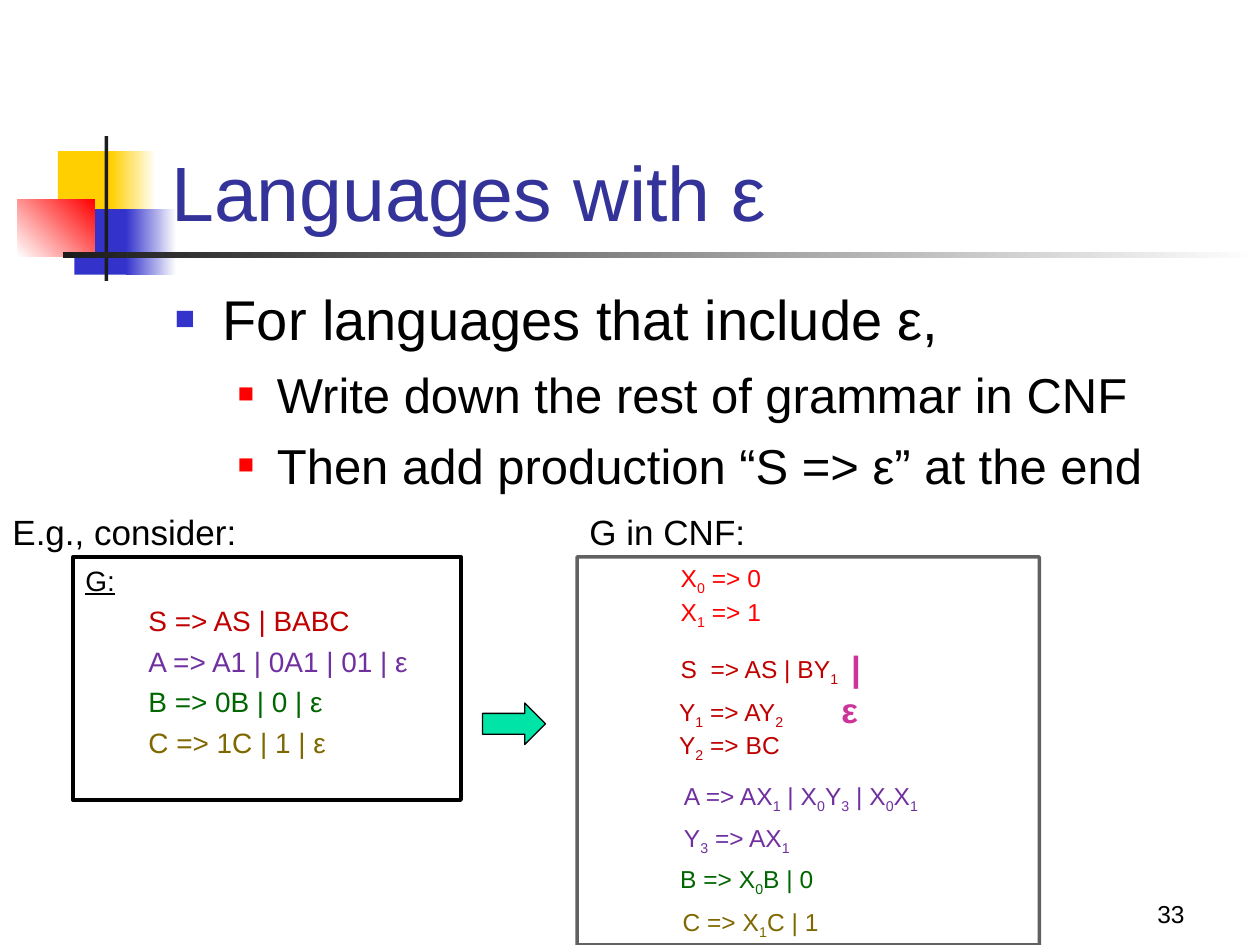
from dataclasses import dataclass
from typing import Optional

from lxml.etree import SubElement
from pptx import Presentation
from pptx.dml.color import RGBColor
from pptx.enum.shapes import MSO_SHAPE as Shape
from pptx.enum.text import MSO_ANCHOR as Anchor, MSO_AUTO_SIZE as AutoSize, PP_ALIGN as Align
from pptx.oxml.ns import qn
from pptx.util import Inches, Pt

COLORS = {
    "black": "000000", "white": "FFFFFF", "ink": "1C1C1C", "title": "333399",
    "yellow": "FFCF01", "blue": "3333CC", "red": "FF0000", "arrow": "00E4A8",
    "start": "C00000", "purple": "7030A0", "green": "006600", "olive": "806800",
    "epsilon": "CC3499",
}
FONT = "Arial"
SPACING = 0.25  # space before a paragraph, as a share of its text size


@dataclass
class Block:
    """A filled rectangle, fading to a second colour when one is given."""
    left: float
    top: float
    width: float
    height: float
    color: str
    fade: Optional[str] = None
    angle: float = 0


@dataclass
class Label:
    """A free text box holding one or more lines."""
    left: float
    top: float
    width: float
    height: float
    lines: list
    color: str = "black"
    size: float = 14
    bold: bool = False
    wrap: bool = False


DECORATION = [
    Block(0.46, 1.2, 0.48, 0.52, "yellow"),
    Block(0.88, 1.2, 0.36, 0.52, "yellow", "white"),
    Block(0.59, 1.66, 0.46, 0.52, "blue"),
    Block(1, 1.66, 0.4, 0.52, "blue", "white"),
    Block(0.14, 1.58, 0.61, 0.46, "white", "red", 45),
    Block(0.83, 1.08, 0.03, 1.15, "ink"),
    Block(0.5, 2, 9.5, 0.05, "ink", "white"),
]

# An underscore sets the next character as a subscript
LABELS = [
    Label(4.58, 4, 1.45, 0.44, ["G in CNF:"], size=20),
    Label(0, 4, 1.99, 0.44, ["E.g., consider:"], size=20),
    Label(5.25, 4.42, 0.91, 0.57, [" X_0 => 0", " X_1 => 1"], "red"),
    Label(5.25, 5.14, 1.53, 0.34, [" S  => AS | BY_1"], "start"),
    Label(5.24, 5.48, 1.11, 0.57, [" Y_1 => AY_2", " Y_2 => BC"], "start"),
    Label(5.33, 6.15, 2.12, 0.34, ["A => AX_1 | X_0Y_3 | X_0X_1"], "purple"),
    Label(5.33, 6.48, 1.07, 0.34, ["Y_3 => AX_1"], "purple"),
    Label(5.3, 6.81, 1.27, 0.34, ["B => X_0B | 0"], "green"),
    Label(5.32, 7.15, 1.3, 0.34, ["C => X_1C | 1"], "olive"),
    Label(6.58, 5.08, 0.54, 0.44, [" | ε"], "epsilon", 20, True, True),
]

GRAMMAR = [
    ("S => AS | BABC", "start"),
    ("A => A1 | 0A1 | 01 | ε", "purple"),
    ("B => 0B | 0 | ε", "green"),
    ("C => 1C | 1 | ε", "olive"),
]


def rgb(name: str) -> RGBColor:
    return RGBColor.from_string(COLORS[name])


def box(*lengths: float) -> list:
    return [Inches(length) for length in lengths]


def write(frame, text: str, *, size: float, color: str = "black", bold: bool = False,
          underline: bool = False, align=Align.LEFT, space: float = 0,
          margin: float = 0, indent: float = 0, level: int = 0):
    """Add a paragraph, filling the empty first one if there is one."""
    first = frame.paragraphs[0]
    paragraph = frame.add_paragraph() if first.runs else first
    paragraph.alignment = align
    paragraph.level = level
    paragraph.space_before = Pt(round(size * space, 2))
    if margin:
        properties = paragraph._p.get_or_add_pPr()
        properties.set("marL", str(Inches(margin)))
        properties.set("indent", str(Inches(indent)))
    plain, *marked = text.split("_")
    pieces = [(plain, False)]
    for piece in marked:
        pieces += [(piece[0], True), (piece[1:], False)]
    for content, subscript in pieces:
        if not content:
            continue
        run = paragraph.add_run()
        run.text = content
        font = run.font
        font.name, font.size, font.bold = FONT, Pt(size), bold
        font.underline = underline
        font.color.rgb = rgb(color)
        if subscript:
            run._r.get_or_add_rPr().set("baseline", "-25000")
    return paragraph


def add_bullet(paragraph, color: str, percent: int) -> None:
    properties = paragraph._p.get_or_add_pPr()
    bullet_color = SubElement(properties, qn("a:buClr"))
    SubElement(bullet_color, qn("a:srgbClr"), val=COLORS[color])
    SubElement(properties, qn("a:buSzPct"), val=str(percent * 1000))
    SubElement(properties, qn("a:buFont"), typeface=FONT)
    SubElement(properties, qn("a:buChar"), char="■")


def add_block(slide, block: Block) -> None:
    shape = slide.shapes.add_shape(
        Shape.RECTANGLE, *box(block.left, block.top, block.width, block.height))
    shape.shadow.inherit = False
    shape.line.fill.background()
    if block.fade:
        shape.fill.gradient()
        shape.fill.gradient_angle = block.angle
        for stop, color in zip(shape.fill.gradient_stops, (block.color, block.fade)):
            stop.color.rgb = rgb(color)
    else:
        shape.fill.solid()
        shape.fill.fore_color.rgb = rgb(block.color)


def add_outlined(slide, kind, bounds: tuple, line_width: float, fill: Optional[str] = None):
    shape = slide.shapes.add_shape(kind, *box(*bounds))
    shape.shadow.inherit = False
    if fill:
        shape.fill.solid()
        shape.fill.fore_color.rgb = rgb(fill)
    else:
        shape.fill.background()
    shape.line.color.rgb = rgb("black")
    shape.line.width = Pt(line_width)
    return shape


def add_frame(slide, bounds: tuple, wrap: bool = True):
    frame = slide.shapes.add_textbox(*box(*bounds)).text_frame
    frame.word_wrap = wrap
    return frame


def main() -> None:
    presentation = Presentation()
    presentation.slide_width, presentation.slide_height = box(10, 7.5)
    slide = presentation.slides.add_slide(presentation.slide_layouts[5])

    # Corner decoration and rule
    for block in DECORATION:
        add_block(slide, block)

    # Title, in front of the decoration
    title = slide.shapes.title
    title.left, title.top, title.width, title.height = box(1.26, 0.68, 8.52, 1.25)
    title.element.getparent().append(title.element)
    title.text_frame.auto_size = AutoSize.NONE
    title.text_frame.vertical_anchor = Anchor.BOTTOM
    write(title.text_frame, "Languages with ε", size=44, color="title")

    # Bulleted body
    body = add_frame(slide, (1.29, 2.21, 8.5, 4.5))
    add_bullet(write(body, "For languages that include ε,", size=32, space=SPACING,
                     margin=0.38, indent=-0.38), "blue", 60)
    for text in ("Write down the rest of grammar in CNF",
                 "Then add production “S => ε” at the end"):
        add_bullet(write(body, text, size=28, space=SPACING, margin=0.81,
                         indent=-0.31, level=1), "red", 55)

    # Source grammar
    grammar = add_outlined(slide, Shape.RECTANGLE, (0.58, 4.42, 3.08, 1.93), 2, "white").text_frame
    grammar.vertical_anchor = Anchor.TOP
    write(grammar, "G:", size=16, underline=True, space=SPACING)
    for text, color in GRAMMAR:
        write(grammar, text, size=16, color=color, space=SPACING, margin=0.5, level=1)

    # Arrow to the half-transparent frame of the normal form
    add_outlined(slide, Shape.RIGHT_ARROW, (3.83, 5.58, 0.5, 0.33), 0.75, "arrow")
    normal_form = add_outlined(slide, Shape.RECTANGLE, (4.58, 4.42, 3.67, 3.08), 2)
    line_color = normal_form.line._ln.find(".//" + qn("a:srgbClr"))
    SubElement(line_color, qn("a:alpha"), val="62000")

    # Captions and productions
    for label in LABELS:
        frame = add_frame(slide, (label.left, label.top, label.width, label.height), label.wrap)
        for line in label.lines:
            write(frame, line, size=label.size, color=label.color, bold=label.bold)

    # Slide number
    number = add_frame(slide, (7.42, 6.92, 2.08, 0.5))
    number.vertical_anchor = Anchor.BOTTOM
    write(number, "33", size=14, align=Align.RIGHT)

    presentation.save("out.pptx")


if __name__ == "__main__":
    main()
